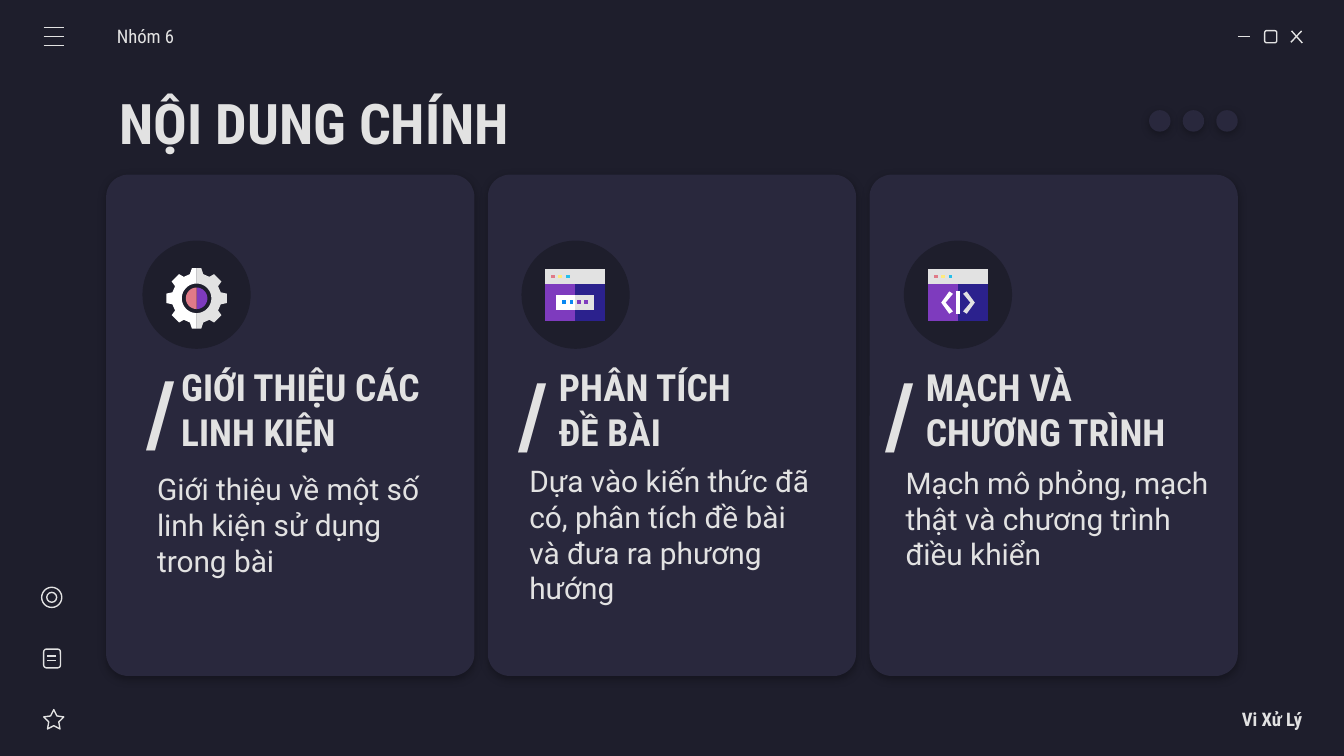
import math
from dataclasses import dataclass

from lxml import etree
from pptx import Presentation
from pptx import util as u
from pptx.dml.color import RGBColor
from pptx.enum import shapes, text
from pptx.oxml.ns import qn

SLIDE_COLS, SLIDE_ROWS = 100, 56.25
CELL = u.Inches(10) / SLIDE_COLS
MIDDLE = text.MSO_ANCHOR.MIDDLE
LEFT, RIGHT = text.PP_ALIGN.LEFT, text.PP_ALIGN.RIGHT
KIND = shapes.MSO_SHAPE


@dataclass(frozen=True)
class Theme:
    """Colours, fonts and type sizes of the slide."""
    night: str = "1E1E2C"
    card: str = "29283D"
    light: str = "E2E2E2"
    white: str = "FFFFFF"
    violet: str = "7E3BBE"
    indigo: str = "2B218D"
    rose: str = "E07A88"
    yellow: str = "FFEA7D"
    cyan: str = "24BFEB"
    blue: str = "0887F2"
    display: str = "Roboto Condensed"
    body: str = "Roboto"
    label_size: int = 10
    body_size: int = 16
    heading_size: int = 20
    title_size: int = 30
    slash_size: int = 48
    stroke: float = 0.75


T = Theme()


@dataclass(frozen=True)
class Topic:
    """One card: heading, summary and their grid boxes."""
    heading: tuple
    heading_box: tuple
    summary: str
    summary_box: tuple
    slash_at: tuple
    disc_left: float


TOPICS = (
    Topic(("GIỚI THIỆU CÁC LINH KIỆN",), (12.5, 27.9, 20.6, 5.1),
          "Giới thiệu về một số linh kiện sử dụng trong bài",
          (10.7, 33.6, 21.5, 10.9), (9.9, 27.9), 10.6),
    Topic(("PHÂN TÍCH ", "ĐỀ BÀI"), (40.6, 27.9, 21.3, 5.1),
          "Dựa vào kiến thức đã có, phân tích đề bài và đưa ra phương hướng",
          (38.4, 34.3, 23.5, 10.9), (37.6, 28.1), 38.8),
    Topic(("MẠCH VÀ ", "CHƯƠNG TRÌNH"), (67.9, 27.9, 23.8, 5.1),
          "Mạch mô phỏng, mạch thật và chương trình điều khiển",
          (66.4, 33.1, 25.3, 10.9), (64.9, 28.1), 67.25),
)


def cells(*counts):
    """Convert grid cells to slide lengths."""
    return [u.Emu(round(count * CELL)) for count in counts]


def paint(item, fill=None, stroke=None):
    """Give a shape a flat fill and line without a shadow."""
    item.shadow.inherit = False
    if fill:
        item.fill.solid()
        item.fill.fore_color.rgb = RGBColor.from_string(fill)
    else:
        item.fill.background()
    if stroke:
        item.line.color.rgb = RGBColor.from_string(stroke)
        item.line.width = u.Pt(T.stroke)
    else:
        item.line.fill.background()


def add_preset(slide, kind, box, fill=None, stroke=None, corner=None):
    """Add a preset shape on the grid."""
    item = slide.shapes.add_shape(kind, *cells(*box))
    if corner is not None:
        item.adjustments[0] = corner
    paint(item, fill, stroke)
    return item


def add_soft_shadow(item):
    """Cast a faint shadow straight down."""
    effects = item._element.spPr.find(qn("a:effectLst"))
    shadow = etree.SubElement(effects, qn("a:outerShdw"), blurRad="57150",
                              dist="19050", dir="5400000", algn="bl", rotWithShape="0")
    black = etree.SubElement(shadow, qn("a:srgbClr"), val="000000")
    etree.SubElement(black, qn("a:alpha"), val="30000")


def add_stroke(slide, start, end):
    """Add a thin straight line between two grid points."""
    line = slide.shapes.add_connector(shapes.MSO_CONNECTOR.STRAIGHT,
                                      *cells(*start, *end))
    line.line.color.rgb = RGBColor.from_string(T.light)
    line.line.width = u.Pt(T.stroke)
    etree.SubElement(line._element.spPr, qn("a:effectLst"))


def add_outline(slide, origin, points, fill):
    """Add a filled polygon from points relative to an origin."""
    corners = [cells(origin[0] + x, origin[1] + y) for x, y in points]
    builder = slide.shapes.build_freeform(*corners[0], scale=1.0)
    builder.add_line_segments(corners[1:], close=True)
    paint(builder.convert_to_shape(), fill)


def add_block(slide, origin, box, fill):
    """Add a rectangular icon part."""
    x, y, w, h = box
    add_outline(slide, origin, [(x, y), (x + w, y), (x + w, y + h), (x, y + h)], fill)


def write(holder, lines, size, font=T.display, bold=False, align=LEFT,
          insets=(1, 1, 1, 1)):
    """Fill a text holder with lines in one style."""
    frame = holder.text_frame
    frame.word_wrap = True
    frame.auto_size = text.MSO_AUTO_SIZE.NONE
    frame.vertical_anchor = MIDDLE
    (frame.margin_left, frame.margin_top,
     frame.margin_right, frame.margin_bottom) = cells(*insets)
    paragraph = frame.paragraphs[0]
    paragraph.alignment = align
    paragraph.line_spacing = 1.0
    for index, words in enumerate(lines):
        if index:
            paragraph.add_line_break()
        run = paragraph.add_run()
        run.text = words
        run.font.name, run.font.size, run.font.bold = font, u.Pt(size), bold
        run.font.color.rgb = RGBColor.from_string(T.light)


def add_words(slide, box, lines, size, **style):
    """Add a text box on the grid."""
    write(slide.shapes.add_textbox(*cells(*box)), lines, size, **style)


def add_title(slide, words):
    """Move and fill the title placeholder."""
    title = slide.shapes.title
    title.left, title.top, title.width, title.height = cells(7.9, 5.9, 49.7, 6.3)
    write(title, [words], T.title_size, bold=True)


def add_topic(slide, topic):
    """Add the disc and words of one card."""
    add_preset(slide, KIND.OVAL, (topic.disc_left, 17.9, 8.05, 8.05), T.night)
    add_words(slide, topic.heading_box, topic.heading, T.heading_size, bold=True)
    add_words(slide, topic.summary_box, [topic.summary], T.body_size, font=T.body)
    add_words(slide, (*topic.slash_at, 2.9, 5.1), ["/"], T.slash_size, bold=True)


def add_gear(slide, center):
    """Add a two-tone gear around a two-tone core."""
    teeth = [(0, -2.25), (0.35, -2.25), (0.5, -1.8), (0.95, -1.6), (1.3, -1.8),
             (1.85, -1.25), (1.6, -0.9), (1.8, -0.45), (2.25, -0.35)]
    rim = teeth + [(x, -y) for x, y in reversed(teeth)]
    arc = [(math.sin(step * math.pi / 24), math.cos(step * math.pi / 24))
           for step in range(25)]
    for side, rim_fill, core_fill in ((1, T.light, T.violet), (-1, T.white, T.rose)):
        ring = rim + [(1.1 * x, 1.1 * y) for x, y in arc]
        add_outline(slide, center, [(side * x, y) for x, y in ring], rim_fill)
        add_outline(slide, center, [(side * 0.8 * x, 0.8 * y) for x, y in arc], core_fill)


def add_window(slide, origin):
    """Add a two-tone program window with three buttons."""
    for box, fill in (((2.05, 0.9, 2.45, 3), T.indigo), ((0, 0.9, 2.25, 3), T.violet),
                      ((2.05, 0, 2.45, 1.1), T.light), ((0, 0, 2.25, 1.1), T.light)):
        add_block(slide, origin, box, fill)
    for index, fill in enumerate((T.rose, T.yellow, T.cyan)):
        add_block(slide, origin, (0.45 + 0.55 * index, 0.45, 0.28, 0.24), fill)


def add_password(slide, origin):
    """Add a two-tone field with four dots."""
    add_block(slide, origin, (2.05, 1.95, 1.6, 1.1), T.light)
    add_block(slide, origin, (0.85, 1.95, 1.4, 1.1), T.white)
    for index, fill in enumerate((T.blue, T.blue, T.violet, T.violet)):
        add_block(slide, origin, (1.28 + 0.55 * index, 2.36, 0.28, 0.28), fill)


def add_code(slide, origin):
    """Add two angle brackets around a bar."""
    bracket = [(0.65, -0.83), (1.25, 0), (0.65, 0.83), (0.38, 0.65), (0.92, 0),
               (0.38, -0.65)]
    center = (origin[0] + 2.25, origin[1] + 2.52)
    for side, fill in ((-1, T.white), (1, T.light)):
        add_outline(slide, center, [(side * x, y) for x, y in bracket], fill)
    add_block(slide, center, (-0.13, -0.83, 0.26, 1.66), T.white)


def add_frame_icons(slide):
    """Add the menu, window controls and sidebar icons."""
    strokes = [((3.25, y), (4.75, y)) for y in (2.05, 2.72, 3.39)]
    strokes += [((3.5, y), (4.2, y)) for y in (48.8, 49.15)]
    strokes += [((92.1, 2.72), (93, 2.72)), ((96.1, 2.3), (96.9, 3.2)),
                ((96.85, 2.3), (96.05, 3.15))]
    for start, end in strokes:
        add_stroke(slide, start, end)
    for kind, box, corner in ((KIND.ROUNDED_RECTANGLE, (94.1, 2.28, 0.9, 0.9), 0.17),
                              (KIND.ROUNDED_RECTANGLE, (3.25, 48.3, 1.25, 1.4), 0.17),
                              (KIND.STAR_5_POINT, (3.25, 52.8, 1.5, 1.45), 0.25),
                              (KIND.OVAL, (3.1, 43.7, 1.5, 1.5), None),
                              (KIND.OVAL, (3.48, 44.08, 0.74, 0.74), None)):
        add_preset(slide, kind, box, stroke=T.light, corner=corner)


def main():
    """Build and save the slide."""
    deck = Presentation()
    deck.slide_width, deck.slide_height = cells(SLIDE_COLS, SLIDE_ROWS)
    slide = deck.slides.add_slide(deck.slide_layouts[5])
    slide.background.fill.solid()
    slide.background.fill.fore_color.rgb = RGBColor.from_string(T.night)
    add_title(slide, "NỘI DUNG CHÍNH")
    for index, topic in enumerate(TOPICS):
        add_soft_shadow(add_preset(slide, KIND.ROUNDED_RECTANGLE,
                                   (7.9 + 28.4 * index, 13, 27.4, 37.3), T.card, corner=0.06))
        add_soft_shadow(add_preset(slide, KIND.OVAL,
                                   (85.5 + 2.5 * index, 8.2, 1.6, 1.6), T.card))
        add_topic(slide, topic)
    add_gear(slide, (14.63, 22.2))
    for origin, add_detail in (((40.55, 20), add_password), ((69.03, 20), add_code)):
        add_window(slide, origin)
        add_detail(slide, origin)
    add_frame_icons(slide)
    add_words(slide, (8.7, 1.2, 11.7, 3), ["Nhóm 6"], T.label_size, insets=(0, 1, 1, 1))
    add_words(slide, (85.2, 52, 11.7, 3), ["Vi Xử Lý"], T.label_size, bold=True,
              align=RIGHT, insets=(1, 1, 0, 1))
    deck.save("out.pptx")


if __name__ == "__main__":
    main()
